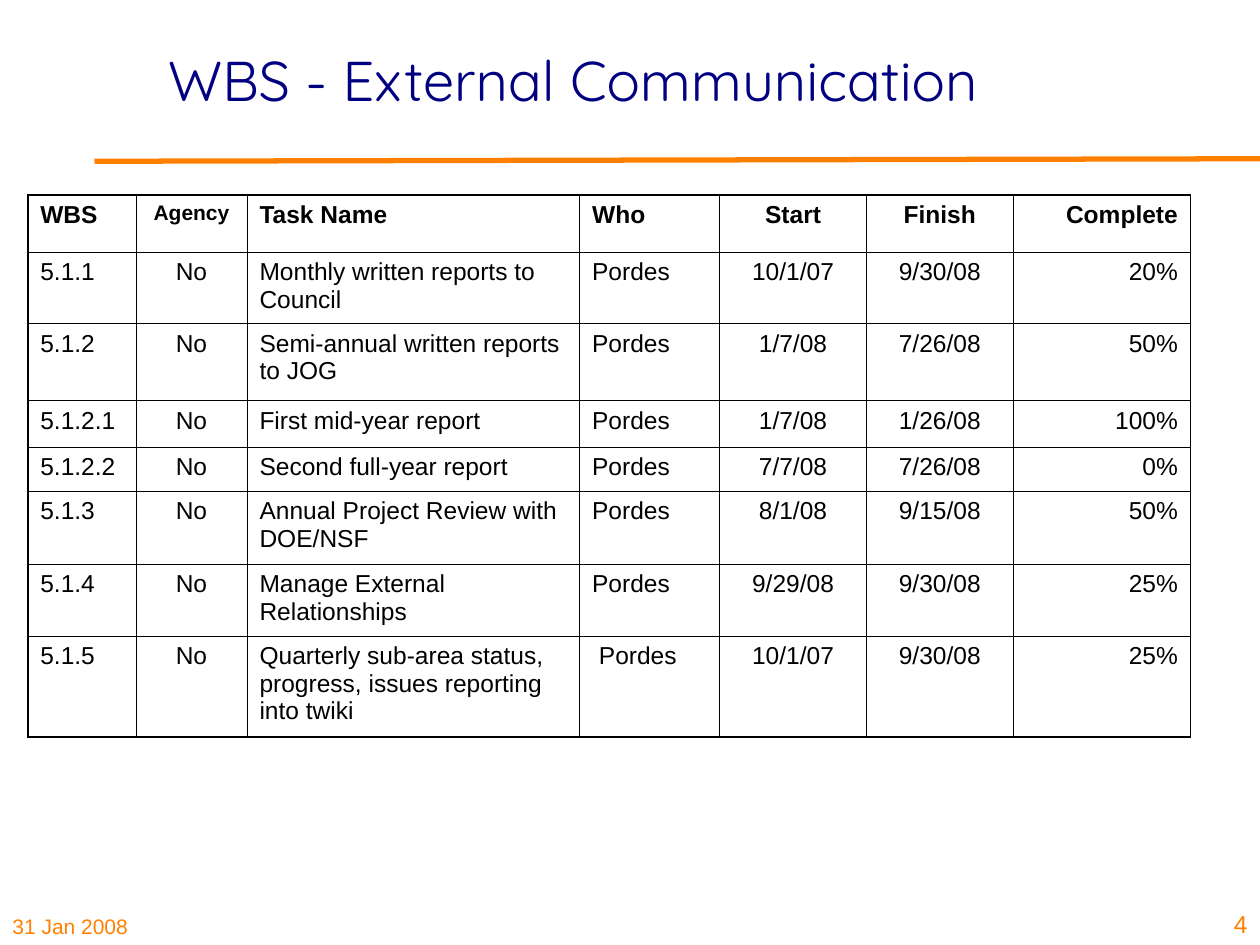
import lxml.etree
import pptx
import pptx.dml.color
import pptx.enum.shapes
import pptx.enum.text
import pptx.oxml.ns
import pptx.util

Inches = pptx.util.Inches
Pt = pptx.util.Pt
ALIGN = pptx.enum.text.PP_ALIGN
ANCHOR = pptx.enum.text.MSO_ANCHOR
qn = pptx.oxml.ns.qn

COLORS = {"title": "000080", "accent": "FF8000", "ink": "000000"}

COLUMNS = [  # heading, width, alignment
    ("WBS", 0.86, ALIGN.LEFT),
    ("Agency", 0.88, ALIGN.CENTER),
    ("Task Name", 2.64, ALIGN.LEFT),
    ("Who", 1.11, ALIGN.LEFT),
    ("Start", 1.17, ALIGN.CENTER),
    ("Finish", 1.16, ALIGN.CENTER),
    ("Complete", 1.41, ALIGN.RIGHT),
]
ROW_HEIGHTS = [0.45, 0.57, 0.61, 0.37, 0.35, 0.58, 0.57, 0.8]
TASKS = [
    ("5.1.1", "No", "Monthly written reports to Council", "Pordes", "10/1/07", "9/30/08", "20%"),
    ("5.1.2", "No", "Semi-annual written reports to JOG", "Pordes", "1/7/08", "7/26/08", "50%"),
    ("5.1.2.1", "No", "First mid-year report", "Pordes", "1/7/08", "1/26/08", "100%"),
    ("5.1.2.2", "No", "Second full-year report", "Pordes", "7/7/08", "7/26/08", "0%"),
    ("5.1.3", "No", "Annual Project Review with DOE/NSF", "Pordes", "8/1/08", "9/15/08", "50%"),
    ("5.1.4", "No", "Manage External Relationships", "Pordes", "9/29/08", "9/30/08", "25%"),
    ("5.1.5", "No", "Quarterly sub-area status, progress, issues reporting into twiki",
     " Pordes", "10/1/07", "9/30/08", "25%"),
]


def rgb(name):
    return pptx.dml.color.RGBColor.from_string(COLORS[name])


def write(tf, text, size=14, color="ink", font="Arial", bold=False, align=ALIGN.LEFT):
    p = tf.paragraphs[0]
    p.alignment = align
    r = p.add_run()
    r.text = text
    r.font.name = font
    r.font.size = Pt(size)
    r.font.bold = bold
    r.font.color.rgb = rgb(color)


def set_borders(cell, widths):
    """Draw the left, right, top and bottom edges with widths in points."""
    tc_pr = cell._tc.get_or_add_tcPr()
    for i, (side, width) in enumerate(zip("LRTB", widths)):
        ln = lxml.etree.Element(qn(f"a:ln{side}"), w=str(Pt(width)))
        fill = lxml.etree.SubElement(ln, qn("a:solidFill"))
        lxml.etree.SubElement(fill, qn("a:srgbClr"), val=COLORS["ink"])
        tc_pr.insert(i, ln)


class SlideBuilder:
    thin, thick = 0.45, 1.08

    def __init__(self, prs):
        self.s = prs.slides.add_slide(prs.slide_layouts[5])

    def title(self, text, x, y, w, h):
        sp = self.s.shapes.title
        sp.left, sp.top, sp.width, sp.height = map(Inches, (x, y, w, h))
        tf = sp.text_frame
        tf.vertical_anchor = ANCHOR.MIDDLE
        write(tf, text, size=32, color="title", font="Quicksand", align=ALIGN.CENTER)

    def rule(self, x1, y1, x2, y2):
        line = self.s.shapes.add_connector(
            pptx.enum.shapes.MSO_CONNECTOR.STRAIGHT, *map(Inches, (x1, y1, x2, y2)))
        line.line.color.rgb = rgb("accent")
        line.line.width = Pt(3)
        lxml.etree.SubElement(line._element.spPr, qn("a:effectLst"))

    def footer(self, text, x, y, w, h, **style):
        sp = self.s.shapes.add_textbox(*map(Inches, (x, y, w, h)))
        tf = sp.text_frame
        tf.word_wrap = True
        tf.vertical_anchor = ANCHOR.BOTTOM
        write(tf, text, color="accent", **style)

    def table(self, columns, tasks, heights, x, y):
        rows = [[heading for heading, _, _ in columns], *tasks]
        last_row, last_col = len(rows) - 1, len(columns) - 1
        width = sum(w for _, w, _ in columns)
        table = self.s.shapes.add_table(
            len(rows), len(columns),
            *map(Inches, (x, y, width, sum(heights)))).table
        table.first_row = table.horz_banding = False
        for col, (_, w, _) in zip(table.columns, columns):
            col.width = Inches(w)
        for i, (row, height) in enumerate(zip(rows, heights)):
            table.rows[i].height = Inches(height)
            for j, text in enumerate(row):
                cell = table.cell(i, j)
                cell.fill.background()
                write(cell.text_frame, text, size=12 if text == "Agency" else 14,
                      bold=i == 0, align=columns[j][2])
                outer = (j == 0, j == last_col, i == 0, i == last_row)
                set_borders(cell, [self.thick if edge else self.thin for edge in outer])


def main():
    prs = pptx.Presentation()
    prs.slide_width, prs.slide_height = Inches(10), Inches(7.5)
    slide = SlideBuilder(prs)
    slide.footer("31 Jan 2008", 0, 7.08, 2.48, 0.42, size=12)
    slide.rule(0.75, 1.28, 10, 1.26)
    slide.title("WBS - External Communication", 0.75, 0, 7.6, 1.25)
    slide.table(COLUMNS, TASKS, ROW_HEIGHTS, 0.22, 1.55)
    slide.footer("4", 9.54, 7, 0.46, 0.5, align=ALIGN.RIGHT)
    prs.save("out.pptx")


if __name__ == "__main__":
    main()
